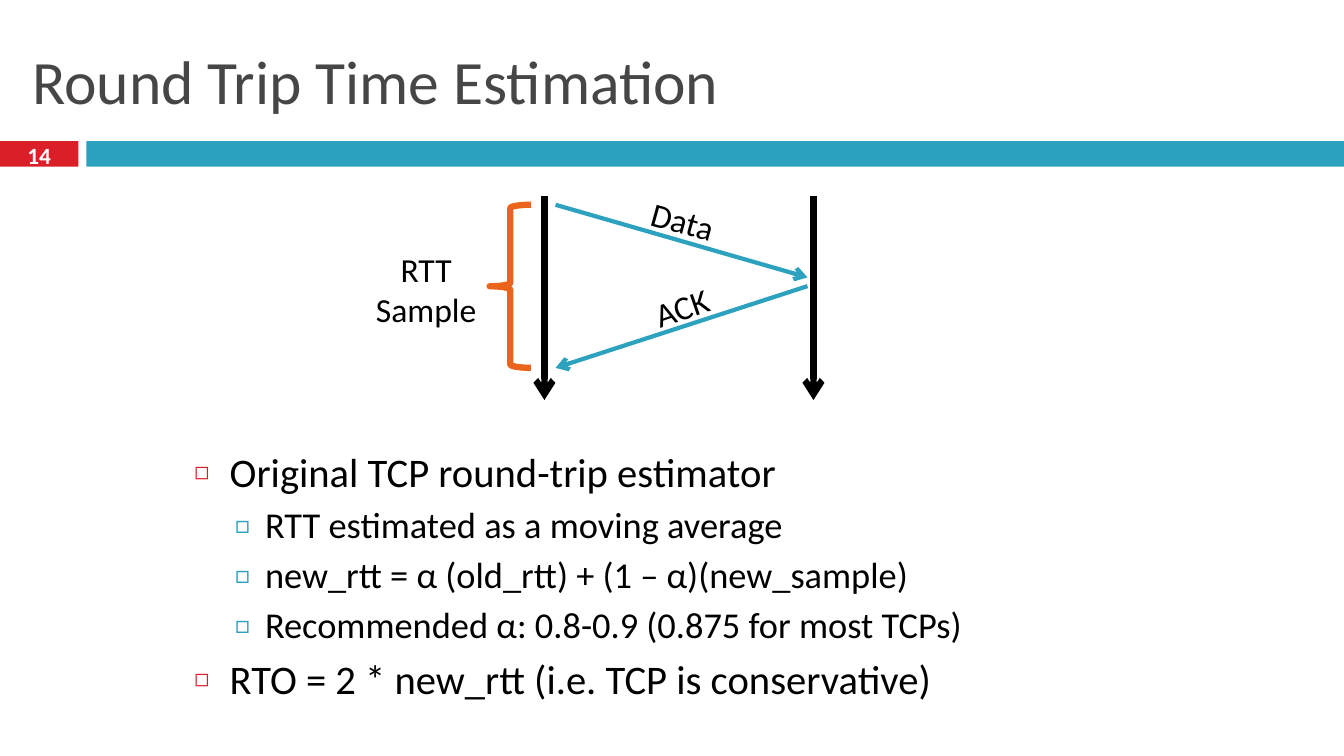
from lxml.etree import SubElement
from pptx import Presentation
from pptx.dml.color import RGBColor
from pptx.enum.shapes import MSO_CONNECTOR as Connector, MSO_SHAPE as Preset
from pptx.enum.text import MSO_ANCHOR as Anchor, PP_ALIGN as Align
from pptx.oxml.ns import qn
from pptx.util import Cm, Pt

BLACK = RGBColor(0x00, 0x00, 0x00)
WHITE = RGBColor(0xFF, 0xFF, 0xFF)
GREY = RGBColor(0x46, 0x46, 0x46)
RED = RGBColor(0xDA, 0x1F, 0x28)
TEAL = RGBColor(0x2D, 0xA2, 0xBF)
ORANGE = RGBColor(0xEB, 0x64, 0x1B)
FONT = "Calibri"

# All lengths are in centimetres, text sizes and line widths in points.
SLIDE_SIZE = (33.87, 19.05)
STRIP_TOP, STRIP_HEIGHT = 3.56, 0.64
STRIPS = [(0, 1.98, RED), (2.18, 31.69, TEAL)]  # left, width, colour

TITLE = ("Round Trip Time Estimation", (0.56, 0.64, 32.74, 2.74))
PAGE_NUMBER = ("14", (0, 3.48, 1.98, 0.84))

BODY_PLACE = (4.65, 11.2, 24.56, 7.44)
BULLETS = [  # level, text
    (0, "Original TCP round-trip estimator"),
    (1, "RTT estimated as a moving average"),
    (1, "new_rtt = α (old_rtt) + (1 – α)(new_sample)"),
    (1, "Recommended α: 0.8-0.9 (0.875 for most TCPs)"),
    (0, "RTO = 2 * new_rtt (i.e. TCP is conservative)"),
]
LEVELS = [
    {"size": 29, "before": 7, "margin": 0.89, "hang": 0.89,
     "mark": "◻", "mark_colour": RED, "mark_percent": 60},
    {"size": 26, "before": 5.5, "margin": 1.78, "hang": 0.76,
     "mark": "□", "mark_colour": TEAL, "mark_percent": 70},
]

SENDER_X, RECEIVER_X = 13.72, 20.5
TIME_START, TIME_END = 4.95, 10.08
SEND_X, ARRIVE_X = 14.0, 20.35
DATA_SENT, DATA_ARRIVED, ACK_SENT, ACK_ARRIVED = 5.16, 6.99, 7.21, 9.27
BRACE_LEFT, BRACE_WIDTH = 12.34, 1.04
LABELS = [  # text, place, rotation
    ("Data", (14.43, 4.93, 5.56, 1.27), 15.6),
    ("ACK", (15.7, 7.11, 2.95, 1.27), 341),
    ("RTT Sample", (8.86, 6.15, 3.76, 2.31), 0),
]


def lengths(values):
    return [Cm(value) for value in values]


def set_all(target, formats):
    for name, value in formats.items():
        setattr(target, name, value)


def write(para, text, size, colour, bold=False):
    span = para.add_run()
    span.text = text
    set_all(span.font, {"name": FONT, "size": Pt(size), "bold": bold})
    span.font.color.rgb = colour


def add_box(page, place, anchor=Anchor.TOP):
    box = page.shapes.add_textbox(*lengths(place))
    set_all(box.text_frame, {"word_wrap": True, "vertical_anchor": anchor})
    return box


def add_shape(page, preset, place):
    shape = page.shapes.add_shape(preset, *lengths(place))
    shape.shadow.inherit = False
    return shape


def add_arrow(page, start, end, colour, width):
    arrow = page.shapes.add_connector(
        Connector.STRAIGHT, *lengths(start + end))
    arrow.line.color.rgb = colour
    arrow.line.width = Pt(width)
    SubElement(arrow.line._get_or_add_ln(), qn("a:tailEnd"), type="arrow")
    SubElement(arrow._element.spPr, qn("a:effectLst"))


def add_bullet(para, level):
    properties = para._p.get_or_add_pPr()
    properties.set("marL", str(Cm(level["margin"])))
    properties.set("indent", str(-Cm(level["hang"])))
    colour = SubElement(properties, qn("a:buClr"))
    SubElement(colour, qn("a:srgbClr"), val=str(level["mark_colour"]))
    SubElement(properties, qn("a:buSzPct"),
               val=str(level["mark_percent"] * 1000))
    SubElement(properties, qn("a:buFont"), typeface=FONT)
    SubElement(properties, qn("a:buChar"), char=level["mark"])


def draw_header(page):
    for left, width, colour in STRIPS:
        strip = add_shape(page, Preset.RECTANGLE,
                          (left, STRIP_TOP, width, STRIP_HEIGHT))
        strip.fill.solid()
        strip.fill.fore_color.rgb = colour
        strip.line.fill.background()

    text, place = TITLE
    title = add_box(page, place, Anchor.MIDDLE)
    write(title.text_frame.paragraphs[0], text, 44, GREY)

    text, place = PAGE_NUMBER
    number = add_box(page, place, Anchor.MIDDLE)
    para = number.text_frame.paragraphs[0]
    para.alignment = Align.CENTER
    write(para, text, 16.6, WHITE, bold=True)


def draw_body(page):
    frame = add_box(page, BODY_PLACE).text_frame
    for index, (depth, text) in enumerate(BULLETS):
        level = LEVELS[depth]
        para = frame.add_paragraph() if index else frame.paragraphs[0]
        set_all(para, {"level": depth, "line_spacing": 0.97,
                       "space_before": Pt(level["before"])})
        add_bullet(para, level)
        write(para, text, level["size"], BLACK)


def draw_exchange(page):
    for x in (SENDER_X, RECEIVER_X):
        add_arrow(page, (x, TIME_START), (x, TIME_END), BLACK, 4.5)
    add_arrow(page, (SEND_X, DATA_SENT), (ARRIVE_X, DATA_ARRIVED), TEAL, 3)
    add_arrow(page, (ARRIVE_X, ACK_SENT), (SEND_X, ACK_ARRIVED), TEAL, 3)

    brace = add_shape(page, Preset.LEFT_BRACE, (
        BRACE_LEFT, DATA_SENT, BRACE_WIDTH, ACK_ARRIVED - DATA_SENT))
    brace.fill.background()
    brace.line.color.rgb = ORANGE
    brace.line.width = Pt(4.5)

    for text, place, rotation in LABELS:
        label = add_box(page, place)
        label.rotation = rotation
        para = label.text_frame.paragraphs[0]
        para.alignment = Align.CENTER
        write(para, text, 24, BLACK)


def main():
    deck = Presentation()
    deck.slide_width, deck.slide_height = lengths(SLIDE_SIZE)
    page = deck.slides.add_slide(deck.slide_layouts[6])
    draw_header(page)
    draw_body(page)
    draw_exchange(page)
    deck.save("out.pptx")


if __name__ == "__main__":
    main()
